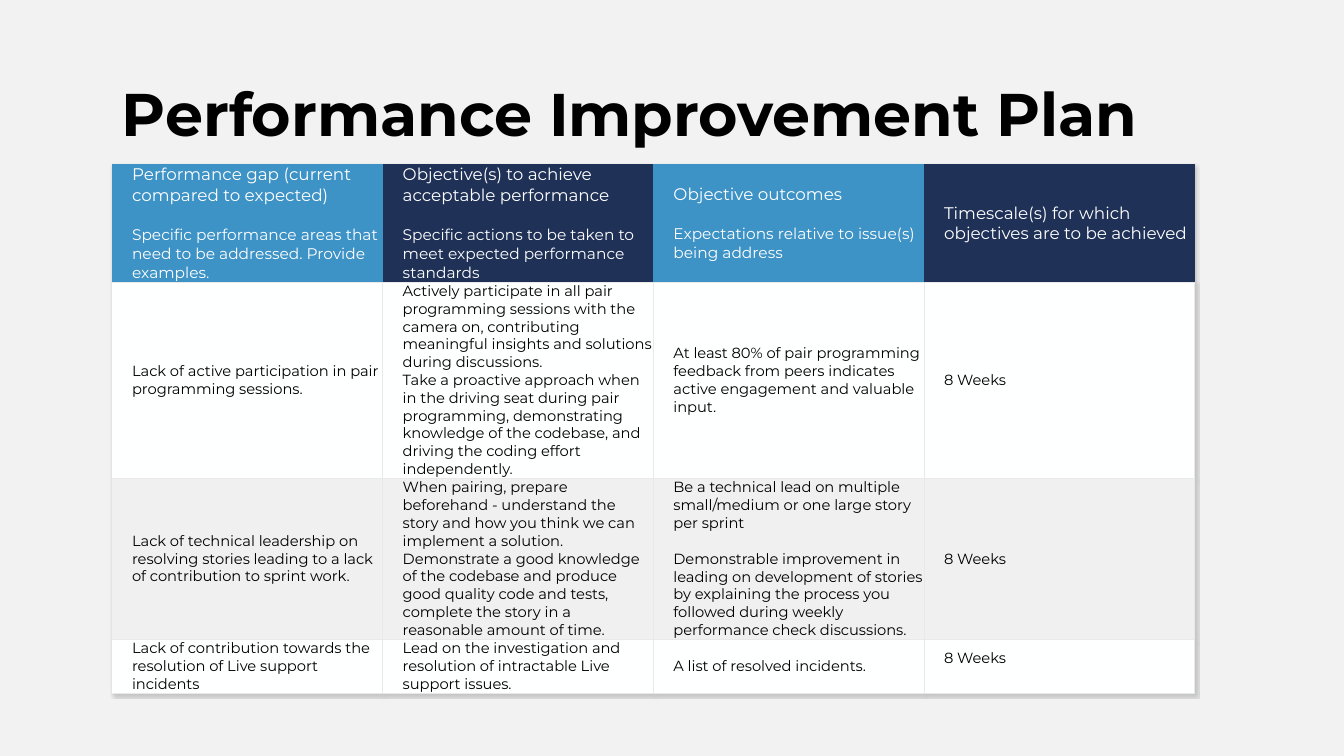
from lxml import etree
from pptx import Presentation
from pptx.dml.color import RGBColor
from pptx.enum.text import MSO_ANCHOR
from pptx.oxml import parse_xml
from pptx.oxml.ns import nsdecls, qn
from pptx.util import Inches, Pt

MIDDLE = MSO_ANCHOR.MIDDLE
TOP = MSO_ANCHOR.TOP

COLORS = {
    "background": "F2F2F2",
    "blue": "3D92C6",
    "navy": "1F3156",
    "white": "FFFFFF",
    "row": "FEFFFF",
    "row_alternate": "F0F0F0",
    "border": "E9E9E9",
    "text": "000000",
}
PLAIN_TABLE_STYLE = "{2D5ABB26-0587-4C30-8999-92F81FD0307C}"
LEFT, WIDTH = 1.11, 10.74
ROW_HEIGHTS = [1.17, 1.94, 1.6, 0.53]

# Header cells: heading, then an optional explanation
HEADERS = [
    ["Performance gap (current compared to expected)",
     "Specific performance areas that need to be addressed. Provide examples."],
    ["Objective(s) to achieve acceptable performance",
     "Specific actions to be taken to meet expected performance standards"],
    ["Objective outcomes",
     "Expectations relative to issue(s) being address"],
    ["Timescale(s) for which objectives are to be achieved"],
]

# Body rows: each cell is a list of paragraphs
GOALS = [
    [
        ["Lack of active participation in pair programming sessions."],
        ["Actively participate in all pair programming sessions with the camera on, "
         "contributing meaningful insights and solutions during discussions.",
         "Take a proactive approach when in the driving seat during pair programming, "
         "demonstrating knowledge of the codebase, and driving the coding effort "
         "independently."],
        ["At least 80% of pair programming feedback from peers indicates active "
         "engagement and valuable input."],
        ["8 Weeks"],
    ],
    [
        ["Lack of technical leadership on resolving stories leading to a lack of "
         "contribution to sprint work."],
        ["When pairing, prepare beforehand - understand the story and how you think "
         "we can implement a solution.",
         "Demonstrate a good knowledge of the codebase and produce good quality code "
         "and tests, complete the story in a reasonable amount of time."],
        ["Be a technical lead on multiple small/medium or one large story per sprint",
         "Demonstrable improvement in leading on development of stories by explaining "
         "the process you followed during weekly performance check discussions."],
        ["8 Weeks"],
    ],
    [
        ["Lack of contribution towards the resolution of Live support incidents"],
        ["Lead on the investigation and resolution of intractable Live support issues."],
        ["A list of resolved incidents."],
        ["8 Weeks"],
    ],
]


class PlanSlide:
    font = "Montserrat"

    def __init__(self, presentation):
        self.slide = presentation.slides.add_slide(presentation.slide_layouts[6])
        fill = self.slide.background.fill
        fill.solid()
        fill.fore_color.rgb = self.color("background")

    def color(self, name):
        return RGBColor.from_string(COLORS[name])

    def set_text(self, text_frame, paragraphs, sizes, color, bold=False, gap=0):
        text_frame.text = "\n".join(paragraphs)
        for index, (paragraph, size) in enumerate(zip(text_frame.paragraphs, sizes)):
            if index:
                paragraph.space_before = Pt(gap)
            for run in paragraph.runs:
                run.font.name = self.font
                run.font.size = Pt(size)
                run.font.bold = bold
                run.font.color.rgb = self.color(color)

    def title(self, text, left, top, width, height):
        box = self.slide.shapes.add_textbox(
            Inches(left), Inches(top), Inches(width), Inches(height))
        text_frame = box.text_frame
        text_frame.word_wrap = True
        text_frame.vertical_anchor = TOP
        self.set_text(text_frame, [text], [43], "text", bold=True)
        text_frame.paragraphs[0].line_spacing = 0.9

    def table(self, left, top, width, row_heights, column_count):
        frame = self.slide.shapes.add_table(
            len(row_heights), column_count, Inches(left), Inches(top),
            Inches(width), Inches(sum(row_heights)))
        table = frame.table
        table.first_row = False
        table.horz_banding = False
        for row, height in zip(table.rows, row_heights):
            row.height = Inches(height)
        # Plain style with a soft shadow
        properties = table._tbl.tblPr
        properties.find(qn("a:tableStyleId")).text = PLAIN_TABLE_STYLE
        properties.insert(0, parse_xml(
            f'<a:effectLst {nsdecls("a")}><a:outerShdw blurRad="25400" dist="25400" '
            'dir="2700000"><a:srgbClr val="000000"><a:alpha val="20000"/></a:srgbClr>'
            '</a:outerShdw></a:effectLst>'))
        return table

    def cell(self, cell, paragraphs, sizes, fill, color, sides, gap=0):
        cell.vertical_anchor = MIDDLE
        cell.margin_left = Inches(0.2)
        cell.margin_top = cell.margin_right = cell.margin_bottom = 0
        cell.fill.solid()
        cell.fill.fore_color.rgb = self.color(fill)
        self.set_text(cell.text_frame, paragraphs, sizes, color, gap=gap)
        self.borders(cell, sides)

    def borders(self, cell, sides):
        properties = cell._tc.get_or_add_tcPr()
        for index, side in enumerate(sides):
            line = etree.Element(qn(f"a:ln{side}"), w=str(Pt(0.25)))
            solid = etree.SubElement(line, qn("a:solidFill"))
            etree.SubElement(solid, qn("a:srgbClr"), val=COLORS["border"])
            properties.insert(index, line)


def main():
    presentation = Presentation()
    presentation.slide_width = Inches(13.33)
    presentation.slide_height = Inches(7.5)
    plan = PlanSlide(presentation)

    table = plan.table(LEFT, 1.63, WIDTH, ROW_HEIGHTS, len(HEADERS))

    # Header row, alternating blue and navy
    for column, paragraphs in enumerate(HEADERS):
        fill = ("blue", "navy")[column % 2]
        plan.cell(table.cell(0, column), paragraphs, [12, 11], fill, "white", "B", gap=14.6)

    # Body rows, alternating white and grey
    for row, goal in enumerate(GOALS, start=1):
        fill = ("row_alternate", "row")[row % 2]
        for column, paragraphs in enumerate(goal):
            gap = 12.8 if column == 2 else 0
            plan.cell(table.cell(row, column), paragraphs, [10.5, 10.5],
                      fill, "text", "RTB", gap=gap)

    # The last timescale sits slightly above the middle
    table.cell(len(GOALS), 3).margin_bottom = Inches(0.16)

    plan.title("Performance Improvement Plan", LEFT, 0.79, WIDTH, 1.37)
    presentation.save("out.pptx")


if __name__ == "__main__":
    main()
